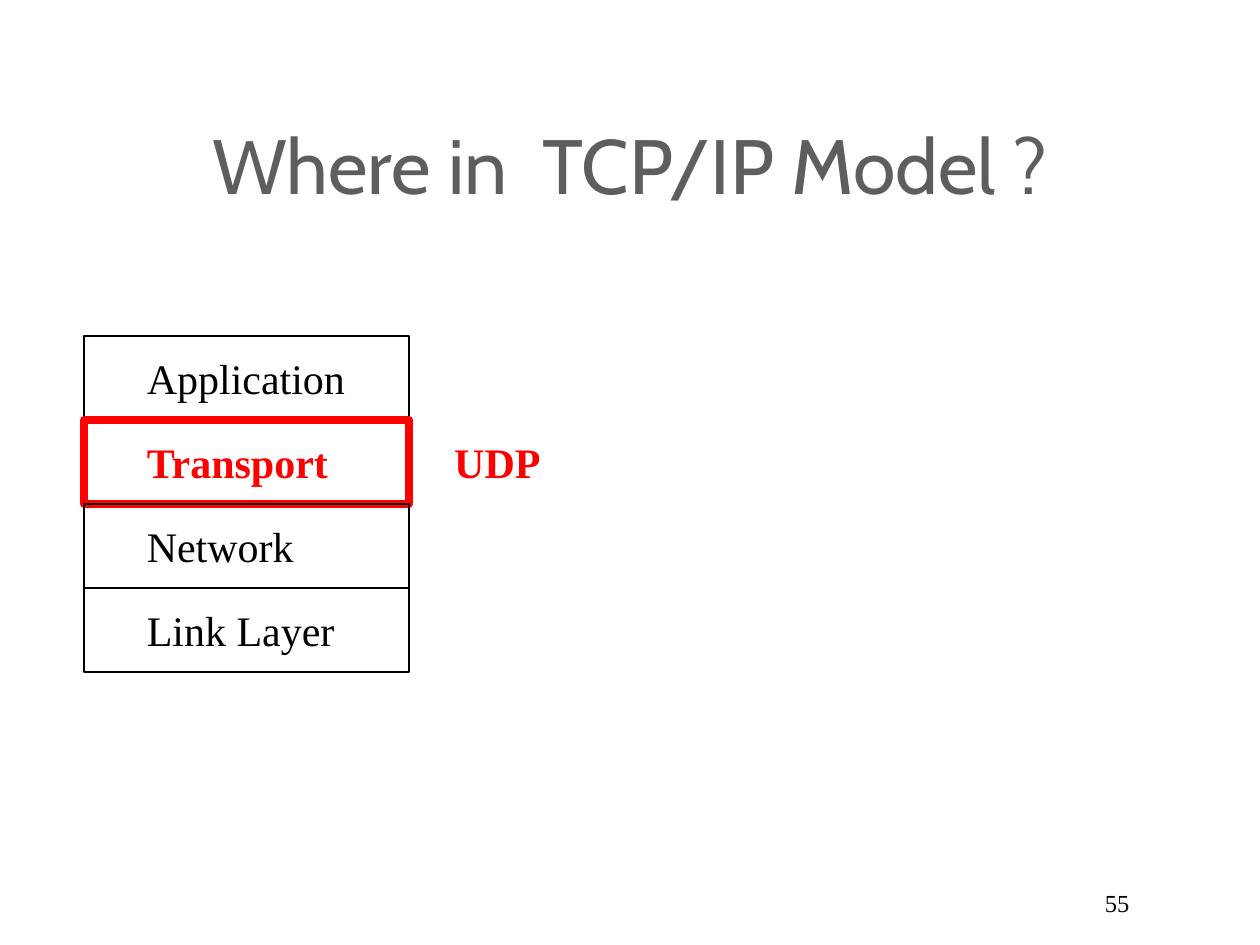
"""Build a slide that marks where UDP sits in the TCP/IP model."""
from lxml import etree
from pptx import Presentation
from pptx import util as u
from pptx.dml.color import RGBColor
from pptx.enum import shapes, text
from pptx.oxml.ns import qn

TITLE = "Where in  TCP/IP Model ?"
PAGE = "55"
LAYERS = [
    ("Application", "black", 0.75, False),
    ("Transport\tUDP", "red", 4.5, True),
    ("Network", "black", 1, False),
    ("Link Layer", "black", 1, False),
]
INK = {"black": "000000", "red": "FF0000", "grey": "5E5E5E"}
SERIF = "Times New Roman"
WIDE, HIGH = 10, 7.5
LEFT, TOP, CELL, ROW = WIDE / 15, HIGH * 16 / 45, 2.58, WIDE / 15
INDENT, DROP, TAB = 0.4, ROW / 8, 2.44


def inches(*nums):
    return [u.Inches(num) for num in nums]


def write(slide, words, place, size=24, font=SERIF, ink="black", bold=False,
          align=text.PP_ALIGN.LEFT, anchor=text.MSO_ANCHOR.TOP, tab=None):
    frame = slide.shapes.add_textbox(*inches(*place)).text_frame
    frame.word_wrap = True
    frame.vertical_anchor = anchor
    para = frame.paragraphs[0]
    para.alignment = align
    if tab:
        stops = etree.SubElement(para._p.get_or_add_pPr(), qn("a:tabLst"))
        etree.SubElement(stops, qn("a:tab"), pos=str(u.Inches(tab)), algn="l")
    run = para.add_run()
    run.text = words
    run.font.size, run.font.name, run.font.bold = u.Pt(size), font, bold
    run.font.color.rgb = RGBColor.from_string(INK[ink])


def frame_box(slide, place, ink, weight):
    box = slide.shapes.add_shape(shapes.MSO_SHAPE.RECTANGLE, *inches(*place))
    box.shadow.inherit = False
    box.fill.background()
    box.line.color.rgb = RGBColor.from_string(INK[ink])
    box.line.width = u.Pt(weight)


def main():
    deck = Presentation()
    deck.slide_width, deck.slide_height = inches(WIDE, HIGH)
    slide = deck.slides.add_slide(deck.slide_layouts[6])
    write(slide, PAGE, (8.67, 7, 0.58, 0.33), size=14)
    write(slide, TITLE, (0.75, 0.67, 8.5, 1.25), size=44, font="Cabin",
          ink="grey", align=text.PP_ALIGN.CENTER,
          anchor=text.MSO_ANCHOR.MIDDLE)
    for row, (words, ink, weight, bold) in enumerate(LAYERS):
        top = TOP + row * ROW
        frame_box(slide, (LEFT, top, CELL, ROW), ink, weight)
        wide = 3.35 if "\t" in words else CELL - INDENT
        write(slide, words, (LEFT + INDENT, top + DROP, wide, 0.5),
              ink=ink, bold=bold, tab=TAB if "\t" in words else None)
    deck.save("out.pptx")


if __name__ == "__main__":
    main()
